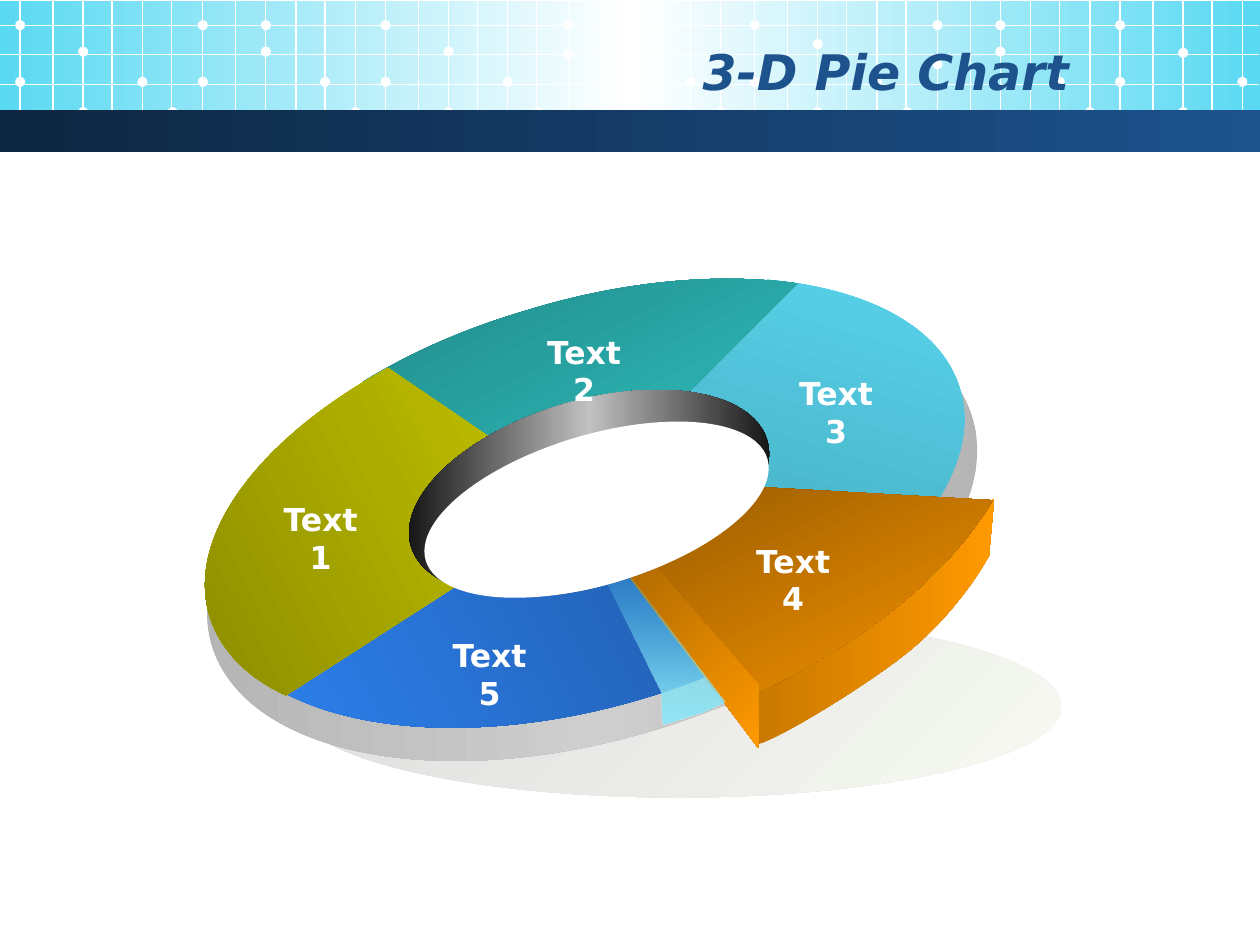
from math import cos, radians, sin

from lxml import etree
from pptx import Presentation
from pptx.dml.color import RGBColor
from pptx.enum.shapes import MSO_CONNECTOR, MSO_SHAPE
from pptx.enum.text import MSO_ANCHOR, PP_ALIGN
from pptx.oxml.ns import qn
from pptx.util import Inches, Pt

RECT, OVAL = MSO_SHAPE.RECTANGLE, MSO_SHAPE.OVAL
STRAIGHT = MSO_CONNECTOR.STRAIGHT
CENTER, RIGHT = PP_ALIGN.CENTER, PP_ALIGN.RIGHT
TOP, MIDDLE = MSO_ANCHOR.TOP, MSO_ANCHOR.MIDDLE
FONT, WHITE = "DejaVu Sans", "FFFFFF"
TILT = 343.4

BLOCKS = [(0.16, 0.37, 0.61), (3.06, 0.37, 0.39), (5.99, 0.31, 0.47), (8.89, 0.38, 0.61)]
COLUMNS = [0, 0.26, 0.5, 0.73, 0.97, 1.2, 1.45, 1.71, 1.95, 2.19, 2.42, 2.66]
ROWS = [0.2, 0.43, 0.67, 0.89]

SLICES = [
    ((4.51, 2.27, 3.12, 2.15), TILT,
     [(6.09, 2.22), (6.91, 2.29, 7.48, 2.61, 7.62, 3.09),
      (7.71, 3.39, 7.62, 3.73, 7.37, 4.08), (4.63, 3.98)], ["5AD9F2", "44A4B7"], 107),
    ((1.87, 4.32, 3.59, 1.61), TILT,
     [(1.77, 5.05), (2.18, 5.78, 3.62, 5.99, 5.12, 5.54),
      (5.29, 5.49, 5.45, 5.43, 5.61, 5.37), (4.66, 3.99)], ["215DAC", "2F85F7"], 152),
    ((2.98, 2.32, 3.53, 1.55), TILT,
     [(2.88, 3.03), (3.27, 2.79, 3.71, 2.6, 4.19, 2.46),
      (4.94, 2.23, 5.7, 2.16, 6.33, 2.25), (4.63, 3.94)], ["208282", "33CCCC"], 62),
    ((1.5, 2.97, 3.12, 2.26), TILT,
     [(3.08, 2.92), (2.04, 3.49, 1.48, 4.26, 1.66, 4.88),
      (1.74, 5.15, 1.95, 5.37, 2.27, 5.52), (4.65, 3.99)], ["CCCC00", "888800"], 152),
    ((5.98, 3.96, 1.92, 1.94), 0,
     [(5.99, 5.5), (7.89, 3.96), (7.85, 4.41), (7.74, 4.61, 7.51, 4.93, 7.2, 5.18),
      (6.89, 5.43, 6.21, 5.85, 6.01, 5.91), (5.98, 5.76, 5.99, 5.5, 5.99, 5.5)],
     ["C97900", "FF9900"], 0),
    ((4.93, 3.29, 2.98, 2.03), 342.3,
     [(7.88, 3.97), (7.51, 4.59, 6.79, 5.16, 5.89, 5.55), (4.69, 3.79)],
     ["764700", "FF9900"], 63),
    ((4.89, 4.33, 1.13, 1.61), 0,
     [(6.02, 5.43), (6.02, 5.94), (4.89, 4.44), (5.06, 4.33)], ["AA6600", "FF9900"], 45),
]
GLASS = [(4.81, 4.6), (5.25, 5.49), (5.26, 5.75), (5.58, 5.65), (5.75, 5.57), (5, 4.57)]
LABELS = [(2.1, 3.92), (4.19, 2.59), (6.19, 2.92), (5.85, 4.25), (3.44, 5)]


def color(code):
    """Turn a hex string into a colour."""
    return RGBColor.from_string(code)


def paint(shape, codes, angle=0, alpha=None):
    """Fill a shape with one colour or an even gradient, without line or shadow."""
    shape.shadow.inherit = False
    shape.line.fill.background()
    if len(codes) == 1:
        shape.fill.solid()
        shape.fill.fore_color.rgb = color(codes[0])
        return
    shape.fill.gradient()
    grad = shape._element.spPr.find(qn("a:gradFill"))
    grad.set("rotWithShape", "0")
    for child in list(grad):
        grad.remove(child)
    stops = etree.SubElement(grad, qn("a:gsLst"))
    for i, code in enumerate(codes):
        stop = etree.SubElement(stops, qn("a:gs"), pos=str(100000 * i // (len(codes) - 1)))
        tone = etree.SubElement(stop, qn("a:srgbClr"), val=code)
        if alpha and i == 0:
            etree.SubElement(tone, qn("a:alpha"), val=str(alpha * 1000))
    etree.SubElement(grad, qn("a:lin"), ang=str(angle * 60000), scaled="0")


def add_form(slide, kind, box, codes, angle=0, turn=0):
    """Add a preset shape."""
    shape = slide.shapes.add_shape(kind, *map(Inches, box))
    shape.rotation = turn
    paint(shape, codes, angle)


def add_line(slide, x1, y1, x2, y2):
    """Add a thin white grid line."""
    line = slide.shapes.add_connector(STRAIGHT, *map(Inches, (x1, y1, x2, y2)))
    line.line.color.rgb = color(WHITE)
    line.line.width = Pt(0.75)
    etree.SubElement(line._element.spPr, qn("a:effectLst"))


def place(x, y, box, turn):
    """Give a slide point in the turned frame, in thousandths of an inch."""
    left, top, width, height = box
    dx, dy = x - left - width / 2, y - top - height / 2
    c, s = cos(radians(turn)), sin(radians(turn))
    spot = (dx * c + dy * s + width / 2, dy * c - dx * s + height / 2)
    return [str(round(v * 1000)) for v in spot]


def add_free(slide, box, turn, steps, codes, angle, alpha=None):
    """Add a closed outline of straight and cubic steps in a turned frame."""
    form = slide.shapes.build_freeform(*steps[0], scale=Inches(1))
    form.add_line_segments([step[-2:] for step in steps[1:]], close=True)
    shape = form.convert_to_shape()
    shape.left, shape.top, shape.width, shape.height = map(Inches, box)
    shape.rotation = turn
    route = next(shape._element.iter(qn("a:path")))
    route.set("w", str(round(box[2] * 1000)))
    route.set("h", str(round(box[3] * 1000)))
    for node, step in zip(list(route), steps):
        if len(step) == 6:
            node.tag
            curve = etree.SubElement(route, qn("a:cubicBezTo"))
            route.replace(node, curve)
            node = curve
        for child in list(node):
            node.remove(child)
        for x, y in zip(step[::2], step[1::2]):
            px, py = place(x, y, box, turn)
            etree.SubElement(node, qn("a:pt"), x=px, y=py)
    paint(shape, codes, angle, alpha)


def add_text(slide, text, box, size, code, align, anchor, slant=False):
    """Add a bold text box."""
    frame = slide.shapes.add_textbox(*map(Inches, box)).text_frame
    frame.word_wrap = True
    frame.vertical_anchor = anchor
    frame.text = text
    para = frame.paragraphs[0]
    para.alignment = align
    font = para.runs[0].font
    font.name, font.size, font.bold, font.italic = FONT, Pt(size), True, slant
    font.color.rgb = color(code)


def add_grid(slide):
    """Add the header grid with its dots."""
    for start, high, low in BLOCKS:
        for x in (start + step for step in COLUMNS):
            if x < 10:
                add_line(slide, x, 0, x, 1.1)
        dots = [(0, 0.61), (0, 0.16), (0.5, high), (0.5, 0.85), (0.97, 0.61), (1.21, 0.85),
                (1.45, low), (1.45, 0.16), (1.95, 0.37), (1.95, 0.16), (2.42, 0.61),
                (2.66, 0.85)]
        for step, y in dots:
            if start + step < 10:
                add_form(slide, OVAL, (start + step - 0.04, y, 0.08, 0.08), [WHITE])
    for y in ROWS:
        add_line(slide, 0, y, 9.99, y)


def add_ring(slide):
    """Add the tilted ring, its slices and labels."""
    add_form(slide, OVAL, (2.34, 4.88, 6.08, 1.45), ["DDDDDD", "F7F9F2"], 45)
    add_form(slide, OVAL, (1.55, 2.57, 6.3, 3.3), ["B2B2B2", "CECECE", "B2B2B2"], 0, TILT)
    add_form(slide, OVAL, (1.61, 2.4, 6.08, 3.2), ["2791BB", "000000"], 62, TILT)
    for piece in SLICES:
        add_free(slide, *piece)
    add_form(slide, OVAL, (3.2, 3.18, 2.95, 1.47), ["000000", "C1C1C1", "000000"], 0, TILT)
    for i, (x, y) in enumerate(LABELS, 1):
        add_text(slide, f"Text{i}", (x, y, 0.89, 0.4), 18, WHITE, CENTER, TOP)
    add_free(slide, (4.81, 4.57, 0.94, 1.18), 0, GLASS, ["5AD9F2", "91E6F6"], 90, 19)
    add_form(slide, OVAL, (3.32, 3.45, 2.83, 1.19), [WHITE], 0, TILT)


def main():
    """Build and save the slide."""
    deck = Presentation()
    deck.slide_width, deck.slide_height = Inches(10), Inches(7.5)
    slide = deck.slides.add_slide(deck.slide_layouts[6])
    add_form(slide, RECT, (0, 0.01, 10, 1.02), ["5AD9F2", WHITE, "5AD9F2"])
    add_grid(slide)
    add_form(slide, RECT, (0, 0.87, 10, 0.34), ["0D2641", "1D528D"])
    add_ring(slide)
    add_text(slide, "3-D Pie Chart", (0.5, 0.25, 8.08, 0.62), 28, "1D528D", RIGHT, MIDDLE, True)
    deck.save("out.pptx")


if __name__ == "__main__":
    main()
